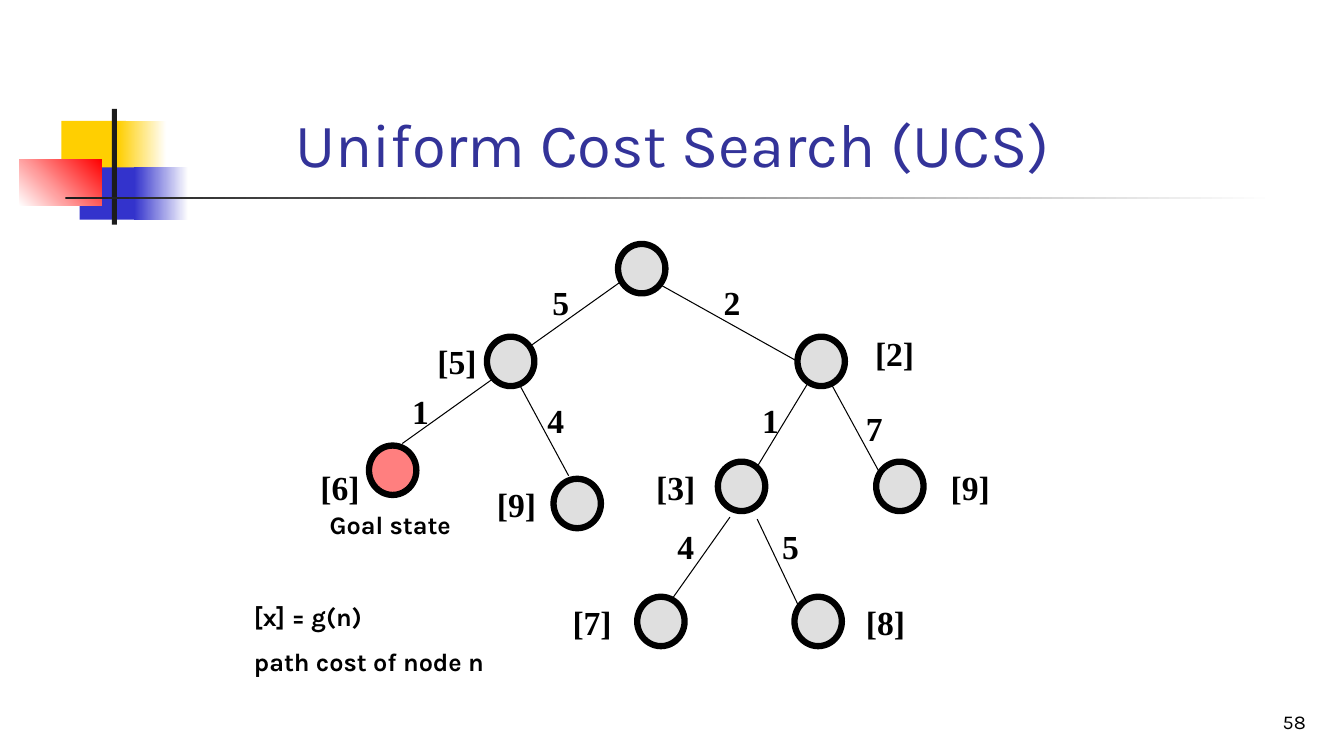
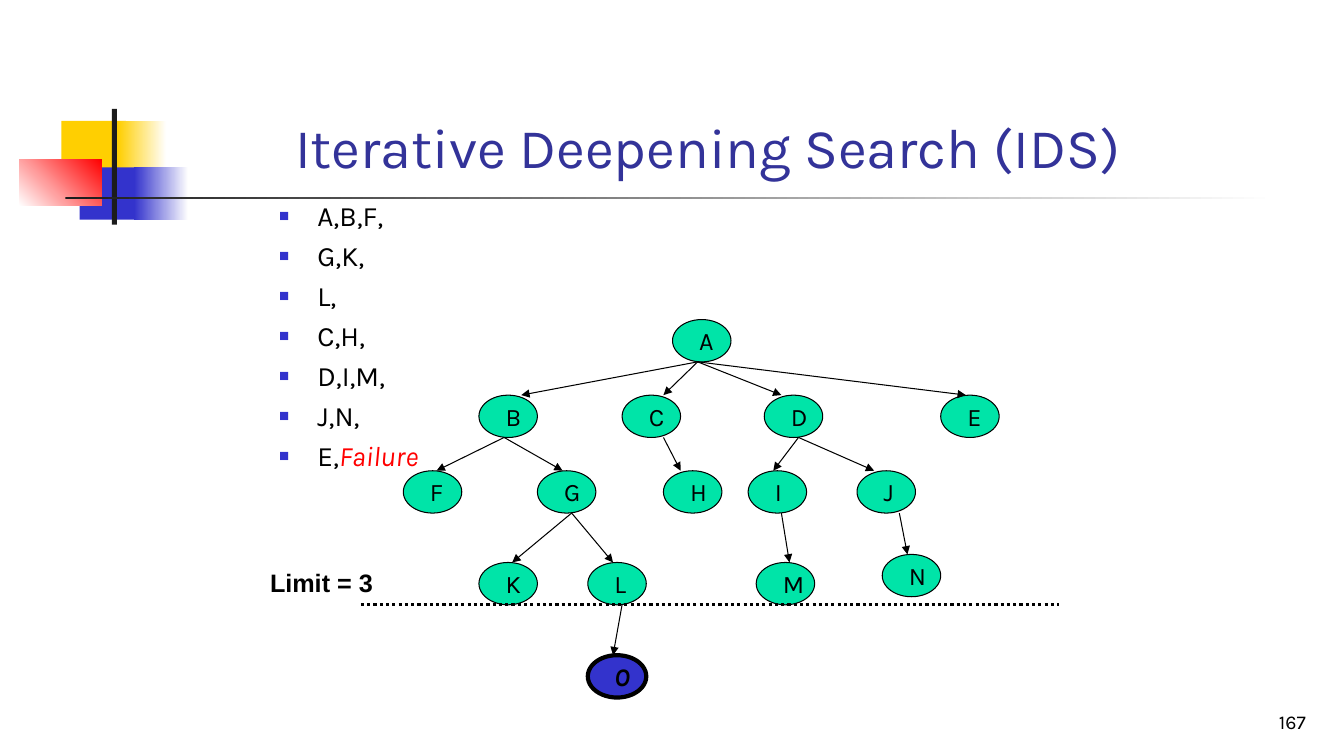
"""Build two slides on tree search: uniform cost search and iterative deepening."""
import pptx
import pptx.dml.color
import pptx.enum.dml
import pptx.enum.shapes
import pptx.enum.text
import pptx.oxml
import pptx.oxml.ns
import pptx.util
from lxml import etree

RGBColor = pptx.dml.color.RGBColor
Pt = pptx.util.Pt
ALIGN = pptx.enum.text.PP_ALIGN
ANCHOR = pptx.enum.text.MSO_ANCHOR
SHAPE = pptx.enum.shapes.MSO_SHAPE
qn = pptx.oxml.ns.qn

BLACK = RGBColor(0x00, 0x00, 0x00)
CHARCOAL = RGBColor(0x1C, 0x1C, 0x1C)
WHITE = RGBColor(0xFF, 0xFF, 0xFF)
YELLOW = RGBColor(0xFF, 0xCF, 0x01)
BLUE = RGBColor(0x33, 0x33, 0xCC)
RED = RGBColor(0xFF, 0x00, 0x00)
TITLE_BLUE = RGBColor(0x33, 0x33, 0x99)
SILVER = RGBColor(0xC0, 0xC0, 0xC0)
GREEN = RGBColor(0x00, 0xE4, 0xA8)

KARLA, TIMES, ARIAL = "Karla", "Times New Roman", "Arial"
CM_PER_INCH = 2.54

BANDS = [
    ((0.61, 1.2, 0.64, 0.52), [YELLOW], 0),
    ((1.17, 1.2, 0.48, 0.52), [YELLOW, WHITE], 0),
    ((0.79, 1.66, 0.62, 0.52), [BLUE], 0),
    ((1.33, 1.66, 0.54, 0.52), [BLUE, WHITE], 0),
    ((0.19, 1.58, 0.82, 0.46), [WHITE, RED], 45),
    ((1.11, 1.08, 0.05, 1.15), [CHARCOAL], 0),
    ((0.65, 1.95, 12, 0.03), [CHARCOAL, WHITE], 0),
]

COST_NODE_SIZE = (0.47, 0.49)
COST_NODES = [
    (6.13, 2.42, SILVER),
    (4.83, 3.34, SILVER),
    (7.91, 3.34, SILVER),
    (3.66, 4.42, RED),
    (5.49, 4.75, SILVER),
    (7.12, 4.58, SILVER),
    (8.69, 4.58, SILVER),
    (6.32, 5.92, SILVER),
    (7.88, 5.92, SILVER),
]
PATH_COSTS = [
    ("[5]", 4.24, 3.33),
    ("[2]", 8.58, 3.25),
    ("[6]", 3.08, 4.58),
    ("[9]", 4.83, 4.75),
    ("[3]", 6.41, 4.58),
    ("[9]", 9.33, 4.58),
    ("[7]", 5.58, 5.92),
    ("[8]", 8.49, 5.92),
]
COST_EDGES = [
    ((6.15, 2.8), (5.25, 3.44), "5", (5.38, 2.75)),
    ((6.54, 2.82), (7.9, 3.58), "2", (7.08, 2.75)),
    ((4.9, 3.75), (3.99, 4.4), "1", (3.99, 3.83)),
    ((5.16, 3.83), (5.64, 4.72), "4", (5.33, 3.92)),
    ((8.02, 3.79), (7.51, 4.63), "1", (7.46, 3.92)),
    ((8.25, 3.82), (8.73, 4.7), "7", (8.49, 4)),
    ((7.24, 5.13), (6.66, 5.95), "4", (6.62, 5.17)),
    ((7.51, 5.15), (7.92, 6.01), "5", (7.66, 5.17)),
]

VISITS = ["A,B,F,", "G,K,", "L,", "C,H,", "D,I,M,", "J,N,", "E,"]
OUTCOME = "Failure"
LETTER_NODE_SIZE = (0.58, 0.42)
LETTER_NODES = {
    "A": (6.67, 3.17),
    "B": (4.75, 3.92), "C": (6.17, 3.92), "D": (7.58, 3.92), "E": (9.33, 3.92),
    "F": (4, 4.67), "G": (5.33, 4.67), "H": (6.58, 4.67),
    "I": (7.42, 4.67), "J": (8.5, 4.67),
    "K": (4.75, 5.58), "L": (5.83, 5.58), "M": (7.5, 5.58), "N": (8.75, 5.5),
    "O": (5.83, 6.5),
}
GOAL_LETTER = "O"
LETTER_EDGES = [
    ("A", 6.92, "B", 5.17), ("A", 6.92, "C", 6.58),
    ("A", 6.92, "D", 7.75), ("A", 6.92, "E", 9.58),
    ("B", 5, "F", 4.33), ("B", 5, "G", 5.58), ("C", 6.58, "H", 6.75),
    ("D", 7.92, "I", 7.67), ("D", 7.92, "J", 8.67),
    ("G", 5.67, "K", 5.08), ("G", 5.67, "L", 6.08),
    ("I", 7.75, "M", 7.83), ("J", 8.92, "N", 9), ("L", 6.17, "O", 6.08),
]


def lengths(*inches):
    return [pptx.util.Cm(value * CM_PER_INCH) for value in inches]


def style_font(font, size, name=KARLA, color=BLACK, bold=False, italic=False):
    font.size, font.name = Pt(size), name
    font.bold, font.italic = bold, italic
    font.color.rgb = color


def add_text(slide, box, text, size, align=ALIGN.LEFT, anchor=ANCHOR.TOP,
             wrap=True, gap=0, **style):
    shape = slide.shapes.add_textbox(*lengths(*box))
    frame = shape.text_frame
    frame.word_wrap, frame.vertical_anchor = wrap, anchor
    frame.text = text
    for index, paragraph in enumerate(frame.paragraphs):
        paragraph.alignment = align
        if index:
            paragraph.space_before = Pt(gap)
        for run in paragraph.runs:
            style_font(run.font, size, **style)
    return shape


def add_filled(slide, kind, box, colors, angle=0):
    shape = slide.shapes.add_shape(kind, *lengths(*box))
    shape.shadow.inherit = False
    shape.line.fill.background()
    if len(colors) == 1:
        shape.fill.solid()
        shape.fill.fore_color.rgb = colors[0]
    else:
        shape.fill.gradient()
        shape.fill.gradient_angle = angle
        for stop, color in zip(shape.fill.gradient_stops, colors):
            stop.color.rgb = color
    return shape


def add_node(slide, position, size, color, line_width):
    shape = add_filled(slide, SHAPE.OVAL, (*position, *size), [color])
    shape.line.color.rgb = BLACK
    shape.line.width = Pt(line_width)
    return shape


def add_line(slide, start, end, width=0.75, dash=None, arrow=False):
    connector = slide.shapes.add_connector(
        pptx.enum.shapes.MSO_CONNECTOR.STRAIGHT, *lengths(*start, *end))
    connector.line.color.rgb = BLACK
    connector.line.width = Pt(width)
    if dash:
        connector.line.dash_style = dash
    properties = connector.element.spPr
    if arrow:
        etree.SubElement(properties.get_or_add_ln(), qn("a:tailEnd"), type="triangle")
    etree.SubElement(properties, qn("a:effectLst"))


def add_bullet(paragraph):
    properties = paragraph._p.get_or_add_pPr()
    indent = lengths(0.38)[0]
    properties.set("marL", str(indent))
    properties.set("indent", str(-indent))
    color = etree.SubElement(properties, qn("a:buClr"))
    etree.SubElement(color, qn("a:srgbClr"), val=str(BLUE))
    etree.SubElement(properties, qn("a:buSzPct"), val="60000")
    etree.SubElement(properties, qn("a:buFont"), typeface=ARIAL)
    etree.SubElement(properties, qn("a:buChar"), char="■")


def add_base_slide(presentation, title, title_size, number):
    slide = presentation.slides.add_slide(presentation.slide_layouts[6])
    for box, colors, angle in BANDS:
        add_filled(slide, SHAPE.RECTANGLE, box, colors, angle)
    add_text(slide, (10.27, 6.83, 2.78, 0.5), number, 14,
             align=ALIGN.RIGHT, anchor=ANCHOR.BOTTOM)
    add_text(slide, (2.83, 0.58, 8.5, 1.25), title, title_size,
             anchor=ANCHOR.BOTTOM, color=TITLE_BLUE)
    return slide


def build_uniform_cost(presentation):
    slide = add_base_slide(presentation, "Uniform Cost Search (UCS)", 44, "58")
    for left, top, color in COST_NODES:
        node = add_node(slide, (left, top), COST_NODE_SIZE, color, 4.5)
        fill_color = node.element.spPr.find(".//" + qn("a:srgbClr"))
        etree.SubElement(fill_color, qn("a:alpha"), val="50000")
    label_style = dict(size=24, name=TIMES, bold=True, wrap=False)
    for start, end, cost, position in COST_EDGES:
        add_line(slide, start, end)
        add_text(slide, (*position, 0.37, 0.5), cost, **label_style)
    for cost, left, top in PATH_COSTS:
        add_text(slide, (left, top, 0.59, 0.5), cost, **label_style)
    add_text(slide, (2.42, 5.92, 2.75, 0.85), "[x] = g(n)\npath cost of node n",
             18, gap=10, bold=True)
    add_text(slide, (3.17, 5, 1.58, 0.4), "Goal state", 18, bold=True)


def build_iterative_deepening(presentation):
    slide = add_base_slide(presentation, "Iterative Deepening Search (IDS)", 40, "167")
    visits = add_text(slide, (2.67, 1.92, 1.7, 2.8), "\n".join(VISITS), 20, gap=4.6)
    paragraphs = visits.text_frame.paragraphs
    for paragraph in paragraphs:
        add_bullet(paragraph)
    outcome = paragraphs[-1].add_run()
    outcome.text = OUTCOME
    style_font(outcome.font, 20, color=RED, italic=True)

    for letter, position in LETTER_NODES.items():
        goal = letter == GOAL_LETTER
        node = add_node(slide, position, LETTER_NODE_SIZE,
                        BLUE if goal else GREEN, 3 if goal else 0.75)
        frame = node.text_frame
        frame.margin_left, frame.margin_right, frame.margin_top, frame.margin_bottom = (
            lengths(0.18, 0, 0, 0))
        frame.vertical_anchor = ANCHOR.MIDDLE
        frame.text = letter
        paragraph = frame.paragraphs[0]
        paragraph.alignment = ALIGN.LEFT
        style_font(paragraph.runs[0].font, 18, bold=goal, italic=goal)
    for parent, start_x, child, end_x in LETTER_EDGES:
        start_y = LETTER_NODES[parent][1] + LETTER_NODE_SIZE[1]
        add_line(slide, (start_x, start_y), (end_x, LETTER_NODES[child][1]), arrow=True)
    add_text(slide, (2.58, 5.58, 1.33, 0.4), "Limit = 3", 18, name=ARIAL, bold=True)
    add_line(slide, (3.58, 6), (10.5, 6), 2.25,
             dash=pptx.enum.dml.MSO_LINE_DASH_STYLE.ROUND_DOT)


def main():
    presentation = pptx.Presentation()
    presentation.slide_width, presentation.slide_height = lengths(13.33, 7.5)
    build_uniform_cost(presentation)
    build_iterative_deepening(presentation)
    presentation.save("out.pptx")


if __name__ == "__main__":
    main()
